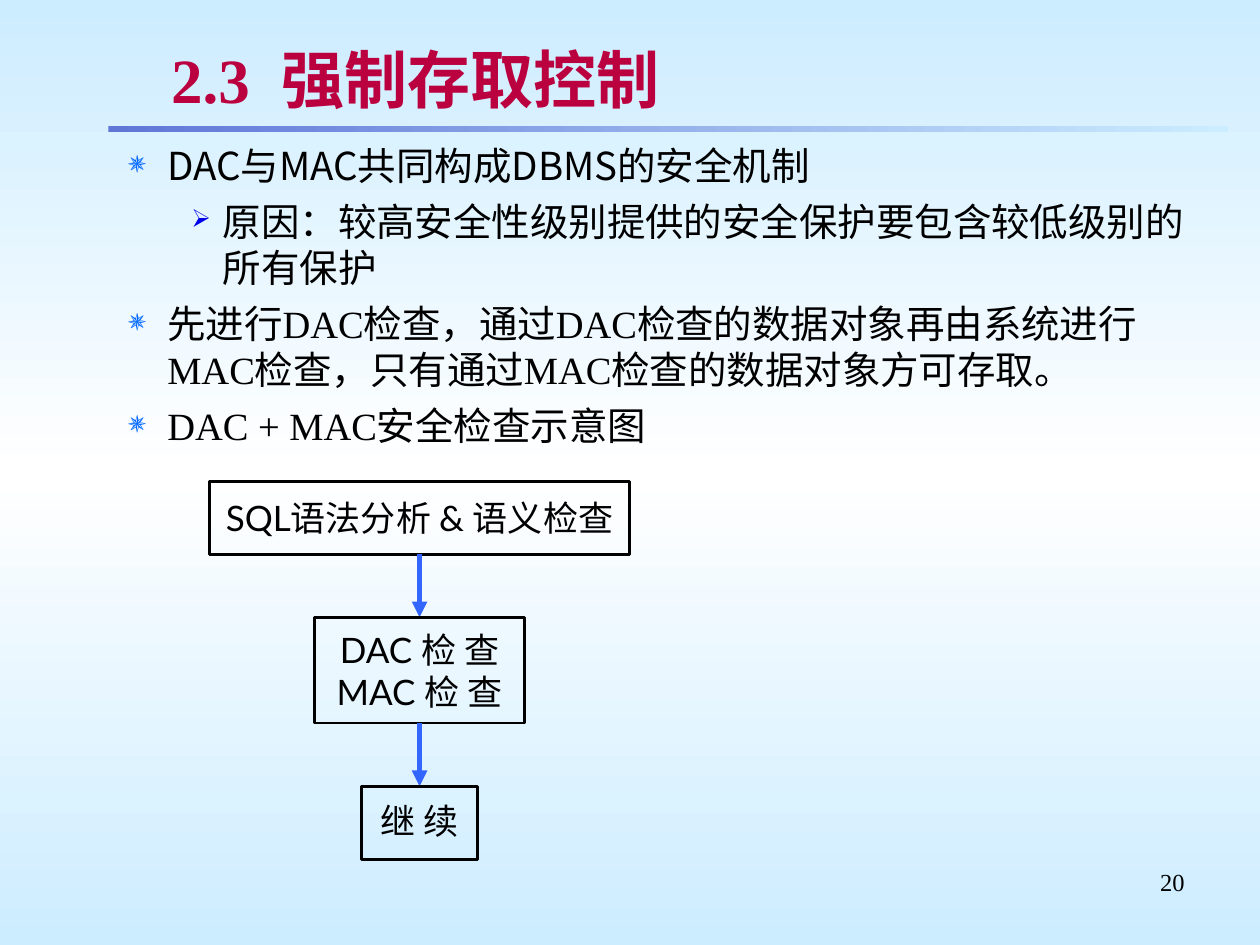
from copy import deepcopy

from pptx import Presentation
from pptx.dml.color import RGBColor
from pptx.enum.shapes import MSO_CONNECTOR as Conn, MSO_SHAPE as Shape
from pptx.enum.text import MSO_ANCHOR as Anchor, PP_ALIGN as Align
from pptx.oxml import parse_xml
from pptx.oxml.ns import nsdecls, qn
from pptx.util import Inches, Pt

BLACK = RGBColor(0x00, 0x00, 0x00)
WHITE = RGBColor(0xFF, 0xFF, 0xFF)
SKY = RGBColor(0xCC, 0xEC, 0xFF)
RULE_BLUE = RGBColor(0x5F, 0x76, 0xD7)
TITLE_RED = RGBColor(0xBA, 0x00, 0x3E)
STAR_BLUE = RGBColor(0x00, 0x66, 0xFF)
ARROWHEAD_BLUE = RGBColor(0x00, 0x00, 0xE8)
LINK_BLUE = RGBColor(0x33, 0x66, 0xFF)

SERIF, SANS, CJK = "Times New Roman", "Lato", "Noto Sans CJK SC"

# Bullet level: symbol, colour, size %, left margin, hanging indent
LEVELS = {
    1: ("✵", STAR_BLUE, 80, 0.81, 0.31),
    2: ("➢", ARROWHEAD_BLUE, 65, 1.25, 0.25),
}


def xml(tag, attrs="", inner=""):
    return parse_xml(f"<a:{tag} {nsdecls('a')} {attrs}>{inner}</a:{tag}>")


def set_gradient(fill, owner, colors, angle):
    """Spread the colours evenly along a linear gradient."""
    fill.gradient()
    fill.gradient_angle = angle
    stops = owner.find(".//" + qn("a:gsLst"))
    while len(stops) < len(colors):
        stops.append(deepcopy(stops[0]))
    for i, (stop, color) in enumerate(zip(fill.gradient_stops, colors)):
        stop.color.rgb = color
        stop.position = i / (len(colors) - 1)


def add_run(p, text, size, font, color=BLACK, bold=False):
    r = p.add_run()
    r.text = text
    r.font.size, r.font.name, r.font.bold = Pt(size), font, bold
    r.font.color.rgb = color
    r.font._element.find(qn("a:latin")).addnext(xml("ea", f'typeface="{CJK}"'))
    return r


def add_text_box(s, box, anchor=Anchor.TOP):
    tf = s.shapes.add_textbox(*map(Inches, box)).text_frame
    tf.word_wrap = True
    tf.vertical_anchor = anchor
    return tf


def set_bullet(p, level):
    symbol, color, size, left, hang = LEVELS[level]
    pPr = p._p.get_or_add_pPr()
    pPr.set("marL", str(Inches(left)))
    pPr.set("indent", str(-Inches(hang)))
    pPr.append(xml("buClr", inner=f'<a:srgbClr val="{color}"/>'))
    pPr.append(xml("buSzPct", f'val="{size * 1000}"'))
    pPr.append(xml("buChar", f'char="{symbol}"'))


def add_title(s, box, text):
    p = add_text_box(s, box, Anchor.MIDDLE).paragraphs[0]
    r = add_run(p, text, 36, SERIF, TITLE_RED, bold=True)
    shadow = xml("effectLst", inner=(
        '<a:outerShdw dist="25400" dir="2700000">'
        '<a:srgbClr val="C0C0C0"/></a:outerShdw>'))
    r.font._element.find(qn("a:solidFill")).addnext(shadow)


def add_rule(s, box):
    sp = s.shapes.add_shape(Shape.RECTANGLE, *map(Inches, box))
    sp.shadow.inherit = False
    sp.line.fill.background()
    set_gradient(sp.fill, sp._element, [RULE_BLUE, SKY], 0)


def add_bullets(s, box, items):
    tf = add_text_box(s, box)
    for i, (level, font, text) in enumerate(items):
        p = tf.add_paragraph() if i else tf.paragraphs[0]
        if i:
            p.space_before = Pt(5.5)
        set_bullet(p, level)
        add_run(p, text, 22, font)


def add_step(s, box, lines, spacing):
    sp = s.shapes.add_shape(Shape.RECTANGLE, *map(Inches, box))
    sp.shadow.inherit = False
    sp.fill.background()
    sp.line.color.rgb, sp.line.width = BLACK, Pt(1.5)
    tf = sp.text_frame
    tf.word_wrap = False
    tf.vertical_anchor = Anchor.MIDDLE
    for i, line in enumerate(lines):
        p = tf.add_paragraph() if i else tf.paragraphs[0]
        p.alignment = Align.CENTER
        p.line_spacing = spacing
        add_run(p, line, 20, SANS)


def add_arrow(s, x, top, bottom):
    c = s.shapes.add_connector(
        Conn.STRAIGHT, Inches(x), Inches(top), Inches(x), Inches(bottom))
    c.line.color.rgb, c.line.width = LINK_BLUE, Pt(3)
    c.line._get_or_add_ln().append(xml("tailEnd", 'type="triangle"'))
    c._element.spPr.append(xml("effectLst"))


def add_flow(s, center, top, gap, steps):
    """Stack centred steps, with an arrow across each gap."""
    for i, (width, height, spacing, lines) in enumerate(steps):
        if i:
            add_arrow(s, center, top, top + gap)
            top += gap
        add_step(s, (center - width / 2, top, width, height), lines, spacing)
        top += height


def add_page_number(s, box, number):
    p = add_text_box(s, box).paragraphs[0]
    p.alignment = Align.RIGHT
    add_run(p, number, 14, SERIF)


def main():
    prs = Presentation()
    prs.slide_width, prs.slide_height = Inches(10), Inches(7.5)
    s = prs.slides.add_slide(prs.slide_layouts[6])
    set_gradient(s.background.fill, s.element, [SKY, WHITE, SKY], 270)

    # Heading
    add_rule(s, (0.86, 1, 8.89, 0.05))
    add_page_number(s, (7.17, 6.83, 2.33, 0.52), "20")
    add_title(s, (1.26, 0.29, 8.24, 0.67), "2.3  强制存取控制")

    # Body
    add_bullets(s, (0.42, 1.08, 9.25, 2.67), [
        (1, CJK, "DAC与MAC共同构成DBMS的安全机制"),
        (2, SERIF, "原因：较高安全性级别提供的安全保护要包含较低级别的所有保护"),
        (1, SERIF, "先进行DAC检查，通过DAC检查的数据对象再由系统进行MAC检查，"
                   "只有通过MAC检查的数据对象方可存取。"),
        (1, SERIF, "DAC + MAC安全检查示意图"),
    ])

    # Security check flow
    add_flow(s, 3.33, 3.82, 0.5, [
        (3.33, 0.58, 1.0, ["SQL语法分析 & 语义检查"]),
        (1.67, 0.84, 1.0, ["DAC 检 查", "MAC 检 查"]),
        (0.92, 0.58, 0.9, ["继 续"]),
    ])

    prs.save("out.pptx")


if __name__ == "__main__":
    main()
